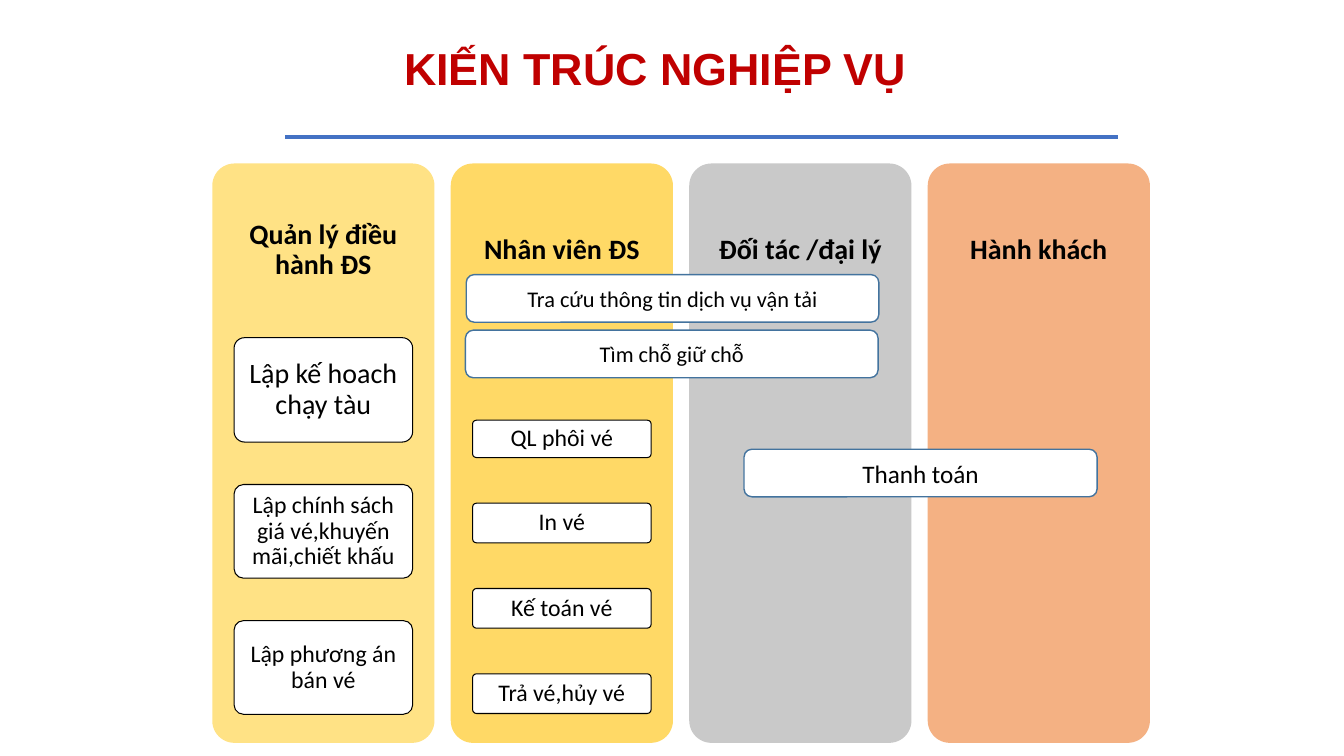
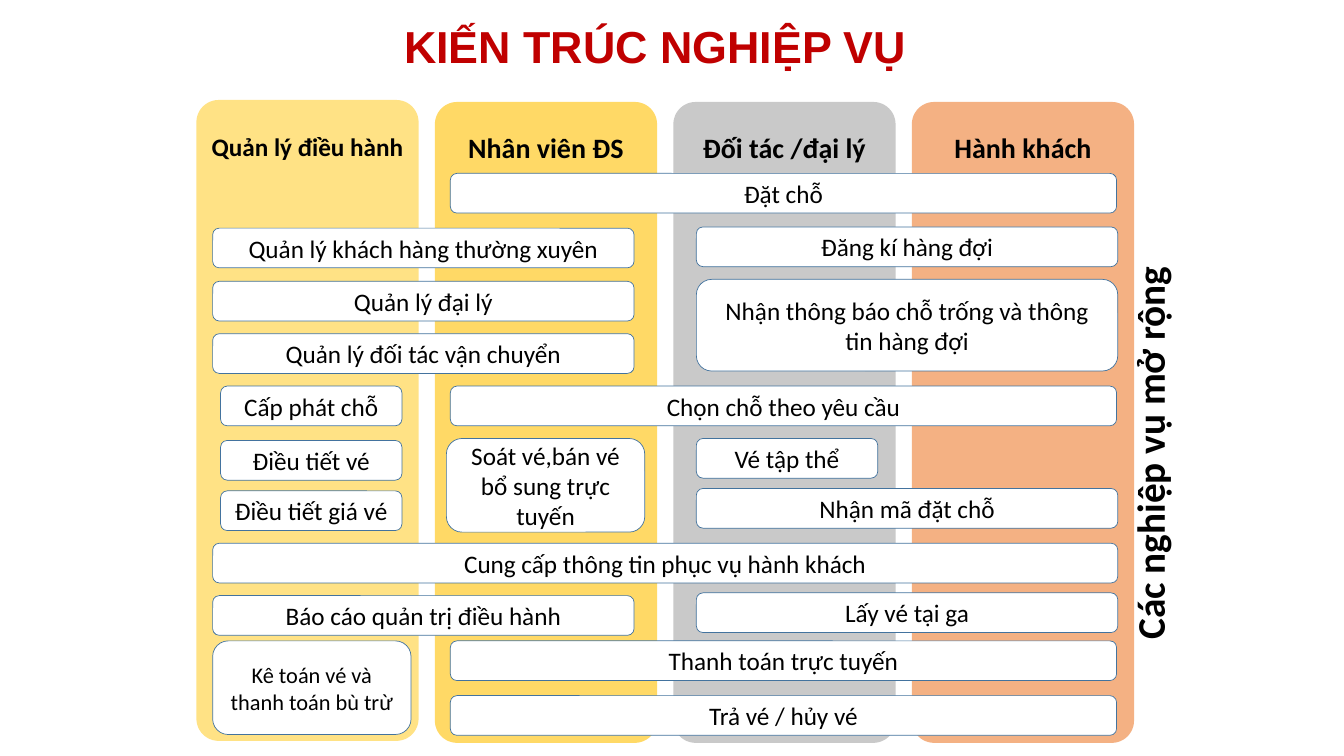
import pptx
import pptx.util
import pptx.dml.color
import pptx.enum.shapes
import pptx.enum.text
from lxml import etree

Cm, Pt = pptx.util.Cm, pptx.util.Pt
RGB = pptx.dml.color.RGBColor
SHAPE = pptx.enum.shapes.MSO_SHAPE
ANCHOR = pptx.enum.text.MSO_ANCHOR
ALIGN = pptx.enum.text.PP_ALIGN
AUTO = pptx.enum.text.MSO_AUTO_SIZE

RED = RGB(0xC0, 0x00, 0x00)
BLACK = RGB(0x00, 0x00, 0x00)
WHITE = RGB(0xFF, 0xFF, 0xFF)
RULE_BLUE = RGB(0x44, 0x72, 0xC4)
BAR_BLUE = RGB(0x43, 0x73, 0x9E)
LANE_COLORS = (RGB(0xFF, 0xE2, 0x85), RGB(0xFF, 0xD9, 0x66),
               RGB(0xC9, 0xC9, 0xC9), RGB(0xF4, 0xB1, 0x83))

TITLE = "KIẾN TRÚC NGHIỆP VỤ"
LANE_W, LANE_STEP = 5.6, 6.01
CARD_INSET = 0.55
BAR_H = 1.0
TALL_H = 2.36

# Left edge and width of a bar, measured from the left of the first lane
STAFF_SIDE = (0.41, 10.62)
CLIENT_SIDE = (12.6, 10.62)
ALL_LANES = (0.41, 22.81)
LAST_THREE = (6.4, 16.79)
MANAGER = (0.61, 4.57)
MANAGER_TALL = (0.41, 5.0)
STAFF_TALL = (6.3, 5.0)
PARTNER = (12.6, 4.57)

EXTENDED_BARS = [
    # text, span, top, height, size
    ("Đặt chỗ", LAST_THREE, 1.8, BAR_H, 18),
    ("Quản lý khách hàng thường xuyên", STAFF_SIDE, 3.18, BAR_H, 18),
    ("Đăng kí hàng đợi", CLIENT_SIDE, 3.15, BAR_H, 18),
    ("Quản lý đại lý", STAFF_SIDE, 4.52, BAR_H, 18),
    ("Nhận thông báo chỗ trống và thông tin hàng đợi", CLIENT_SIDE, 4.47, 2.31, 18),
    ("Quản lý đối tác vận chuyển", STAFF_SIDE, 5.84, BAR_H, 18),
    ("Cấp phát chỗ", MANAGER, 7.16, BAR_H, 18),
    ("Chọn chỗ theo yêu cầu", LAST_THREE, 7.16, BAR_H, 18),
    ("Điều tiết vé", MANAGER, 8.53, BAR_H, 18),
    ("Soát vé,bán vé bổ sung trực tuyến", STAFF_TALL, 8.48, TALL_H, 18),
    ("Vé tập thể", PARTNER, 8.48, BAR_H, 18),
    ("Điều tiết giá vé", MANAGER, 9.8, BAR_H, 18),
    ("Nhận mã đặt chỗ", CLIENT_SIDE, 9.74, BAR_H, 18),
    ("Cung cấp thông tin phục vụ hành khách", ALL_LANES, 11.12, BAR_H, 18),
    ("Báo cáo quản trị điều hành", STAFF_SIDE, 12.44, BAR_H, 18),
    ("Lấy vé tại ga", CLIENT_SIDE, 12.37, BAR_H, 18),
    ("Kê toán vé và thanh toán bù trừ", MANAGER_TALL, 13.58, TALL_H, 16),
    ("Thanh toán trực tuyến", LAST_THREE, 13.58, BAR_H, 18),
    ("Trả vé / hủy vé", LAST_THREE, 14.96, BAR_H, 18),
]


def put_text(tf, text, size=18, font="Calibri", color=BLACK, bold=False,
             align=ALIGN.CENTER, spacing=1.0):
    tf.vertical_anchor = ANCHOR.MIDDLE
    p = tf.paragraphs[0]
    p.alignment = align
    p.line_spacing = spacing
    r = p.add_run()
    r.text = text
    r.font.name, r.font.size, r.font.bold = font, Pt(size), bold
    r.font.color.rgb = color


def rounded_box(slide, box, fill, line=None, line_width=0.5, adj=None):
    sp = slide.shapes.add_shape(SHAPE.ROUNDED_RECTANGLE, *map(Cm, box))
    sp.shadow.inherit = False
    sp.fill.solid()
    sp.fill.fore_color.rgb = fill
    if line is None:
        sp.line.fill.background()
    else:
        sp.line.color.rgb = line
        sp.line.width = Pt(line_width)
    if adj is not None:
        sp.adjustments[0] = adj
    sp.text_frame.word_wrap = True
    return sp


def add_titled_slide(prs, top):
    slide = prs.slides.add_slide(prs.slide_layouts[5])
    title = slide.shapes.title
    title.left, title.top, title.width, title.height = map(Cm, (9.93, top, 14.6, 1.63))
    title.text_frame.auto_size = AUTO.NONE
    put_text(title.text_frame, TITLE, size=32, font="Arial", color=RED,
             bold=True, align=ALIGN.LEFT)
    return slide


def add_rule(slide, left, right, y):
    cx = slide.shapes.add_connector(pptx.enum.shapes.MSO_CONNECTOR.STRAIGHT,
                                    Cm(left), Cm(y), Cm(right), Cm(y))
    cx.line.color.rgb = RULE_BLUE
    cx.line.width = Pt(2.5)
    etree.SubElement(cx._element.spPr, pptx.oxml.ns.qn("a:effectLst"))


def add_lane(slide, box, heading, color, head_h, size=20):
    """Draw a lane whose heading is centred in its top head_h."""
    sp = rounded_box(slide, box, color, adj=0.1)
    tf = sp.text_frame
    tf.margin_left = tf.margin_right = Cm(0.05)
    tf.margin_top = 0
    tf.margin_bottom = Cm(box[3] - head_h)
    put_text(tf, heading, size=size, bold=True, spacing=0.9)


def add_lanes(slide, left, top, height, head_h, headings):
    for i, (heading, color) in enumerate(zip(headings, LANE_COLORS)):
        add_lane(slide, (left + i * LANE_STEP, top, LANE_W, height),
                 heading, color, head_h)


def add_card_stack(slide, lane_left, top, gap, cards):
    """Stack cards of (text, height, size) downwards in one lane."""
    for text, height, size in cards:
        box = (lane_left + CARD_INSET, top, LANE_W - 2 * CARD_INSET, height)
        sp = rounded_box(slide, box, WHITE, line=BLACK, line_width=0.75, adj=0.1)
        tf = sp.text_frame
        tf.margin_left = tf.margin_right = Cm(0.13)
        tf.margin_top = tf.margin_bottom = Cm(0.1)
        put_text(tf, text, size=size, spacing=0.9)
        top += height + gap


def add_bars(slide, left, top, bars, line_width):
    for text, (dx, width), dy, height, size in bars:
        sp = rounded_box(slide, (left + dx, top + dy, width, height), WHITE,
                         line=BAR_BLUE, line_width=line_width)
        put_text(sp.text_frame, text, size=size)


def add_side_label(slide, box, text):
    sp = slide.shapes.add_textbox(*map(Cm, box))
    sp.rotation = 270
    sp.text_frame.word_wrap = False
    put_text(sp.text_frame, text, size=28, bold=True, align=ALIGN.LEFT)


def core_slide(prs):
    slide = add_titled_slide(prs, 0.89)
    add_rule(slide, 7.19, 28.17, 3.45)
    left, top = 5.35, 4.12
    add_lanes(slide, left, top, 14.6, 4.37,
              ("Quản lý điều hành ĐS", "Nhân viên ĐS", "Đối tác /đại lý", "Hành khách"))
    add_card_stack(slide, left, top + 4.39, 1.07, [
        ("Lập kế hoach chạy tàu", 2.63, 20),
        ("Lập chính sách giá vé,khuyến mãi,chiết khấu", TALL_H, 17),
        ("Lập phương án bán vé", TALL_H, 17)])
    add_card_stack(slide, left + LANE_STEP, top + 6.47, 1.15, [
        ("QL phôi vé", 0.94, 17), ("In vé", 1.0, 17),
        ("Kế toán vé", 1.0, 17), ("Trả vé,hủy vé", 1.0, 17)])
    add_bars(slide, left, top, [
        ("Tra cứu thông tin dịch vụ vận tải", (6.4, 10.4), 2.8, 1.2, 16),
        ("Tìm chỗ giữ chỗ", (6.38, 10.4), 4.2, 1.2, 16),
        ("Thanh toán", (13.4, 8.9), 7.2, 1.2, 18)], line_width=1)


def extended_slide(prs):
    slide = add_titled_slide(prs, 0.33)
    left, top, height, head_h, rise = 4.95, 2.57, 16.15, 2.41, 0.05
    add_lane(slide, (left, top - rise, LANE_W, height), "Quản lý điều hành",
             LANE_COLORS[0], head_h + rise, size=18)
    for i, heading in enumerate(("Nhân viên ĐS", "Đối tác /đại lý", "Hành khách"), 1):
        add_lane(slide, (left + i * LANE_STEP, top, LANE_W, height),
                 heading, LANE_COLORS[i], head_h)
    add_bars(slide, left, top, EXTENDED_BARS, line_width=0.5)
    add_side_label(slide, (23.95, 10.62, 10.03, 1.45), "Các nghiệp vụ mở rộng")


def main():
    prs = pptx.Presentation()
    prs.slide_width, prs.slide_height = Cm(33.87), Cm(19.05)
    core_slide(prs)
    extended_slide(prs)
    prs.save("out.pptx")


if __name__ == "__main__":
    main()
